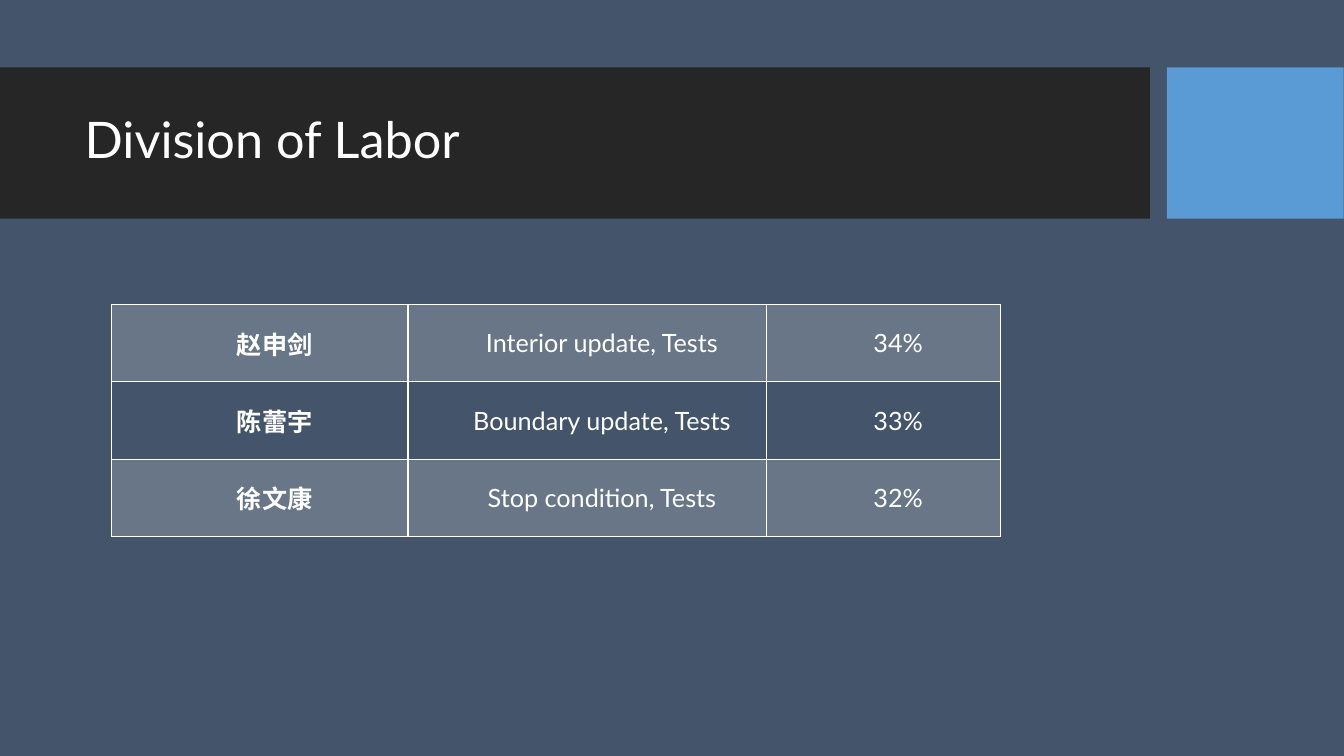
from lxml.etree import SubElement
from pptx import Presentation
from pptx.dml.color import RGBColor
from pptx.enum.shapes import MSO_SHAPE as Preset
from pptx.enum.text import MSO_ANCHOR as Anchor, PP_ALIGN as Align
from pptx.oxml.ns import qn
from pptx.util import Cm, Pt

SLATE = RGBColor(0x44, 0x54, 0x6A)
CHARCOAL = RGBColor(0x26, 0x26, 0x26)
BLUE = RGBColor(0x5B, 0x9B, 0xD5)
WHITE = RGBColor(0xFF, 0xFF, 0xFF)


class LaborSlide:
    """Draws the elements of one slide in a shared style."""

    latin = "Lato"
    chinese = "Noto Sans CJK SC"
    title_size = Pt(36)
    cell_size = Pt(18)

    def __init__(self, deck):
        self.slide = deck.slides.add_slide(deck.slide_layouts[5])
        background = self.slide.background.fill
        background.solid()
        background.fore_color.rgb = SLATE

    def add_run(self, paragraph, text, size, font, bold=False):
        run = paragraph.add_run()
        run.text = text
        run.font.size = size
        run.font.bold = bold
        run.font.color.rgb = WHITE
        run.font.name = font
        SubElement(run.font._element, qn("a:ea"), typeface=font)

    def add_band(self, left, width, color):
        band = self.slide.shapes.add_shape(
            Preset.RECTANGLE, Cm(left), Cm(1.7), Cm(width), Cm(3.81))
        band.shadow.inherit = False
        band.fill.solid()
        band.fill.fore_color.rgb = color
        band.line.fill.background()

    def add_title(self, text):
        title = self.slide.shapes.title
        self.slide.shapes._spTree.append(title._element)
        title.left, title.top = Cm(1.88), Cm(2.08)
        title.width, title.height = Cm(26.7), Cm(3)
        title.text_frame.vertical_anchor = Anchor.MIDDLE
        paragraph = title.text_frame.paragraphs[0]
        paragraph.alignment = Align.LEFT
        paragraph.line_spacing = 0.9
        self.add_run(paragraph, text, self.title_size, self.latin)

    def add_borders(self, cell):
        properties = cell._tc.get_or_add_tcPr()
        for side in ("lnL", "lnR", "lnT", "lnB"):
            border = SubElement(properties, qn(f"a:{side}"), w=str(Pt(1)))
            paint = SubElement(border, qn("a:solidFill"))
            SubElement(paint, qn("a:srgbClr"), val=str(WHITE))

    def fill_cell(self, cell, shaded):
        if not shaded:
            cell.fill.background()
            return
        cell.fill.solid()
        cell.fill.fore_color.rgb = WHITE
        tint = cell._tc.tcPr.find(f"{qn('a:solidFill')}/{qn('a:srgbClr')}")
        SubElement(tint, qn("a:alpha"), val="20000")

    def write_cell(self, cell, text, is_name):
        cell.vertical_anchor = Anchor.MIDDLE
        cell.margin_left = cell.margin_right = Cm(0.18)
        cell.margin_top = cell.margin_bottom = 0
        paragraph = cell.text_frame.paragraphs[0]
        paragraph.alignment = Align.CENTER
        indent = paragraph._p.get_or_add_pPr()
        indent.set("marL", "0")
        indent.set("indent", str(Cm(0.74)))
        font = self.chinese if is_name else self.latin
        self.add_run(paragraph, text, self.cell_size, font, is_name)

    def add_table(self, rows, widths, row_height):
        table = self.slide.shapes.add_table(
            len(rows), len(widths), Cm(2.82), Cm(7.67),
            Cm(sum(widths)), Cm(row_height * len(rows))).table
        table.first_row = table.horz_banding = False
        for column, width in zip(table.columns, widths):
            column.width = Cm(width)
        for r, row in enumerate(rows):
            for c, text in enumerate(row):
                cell = table.cell(r, c)
                self.add_borders(cell)
                self.fill_cell(cell, shaded=r % 2 == 0)
                self.write_cell(cell, text, is_name=c == 0)


def main():
    deck = Presentation()
    deck.slide_width, deck.slide_height = Cm(33.87), Cm(19.05)
    labor = LaborSlide(deck)
    labor.add_band(0, 28.98, CHARCOAL)
    labor.add_band(29.41, 4.45, BLUE)
    labor.add_title("Division of Labor")
    shares = [
        ("赵申剑", "Interior update, Tests", "34%"),
        ("陈蕾宇", "Boundary update, Tests", "33%"),
        ("徐文康", "Stop condition, Tests", "32%"),
    ]
    labor.add_table(shares, widths=(7.46, 9.04, 5.89), row_height=1.95)
    deck.save("out.pptx")


if __name__ == "__main__":
    main()
